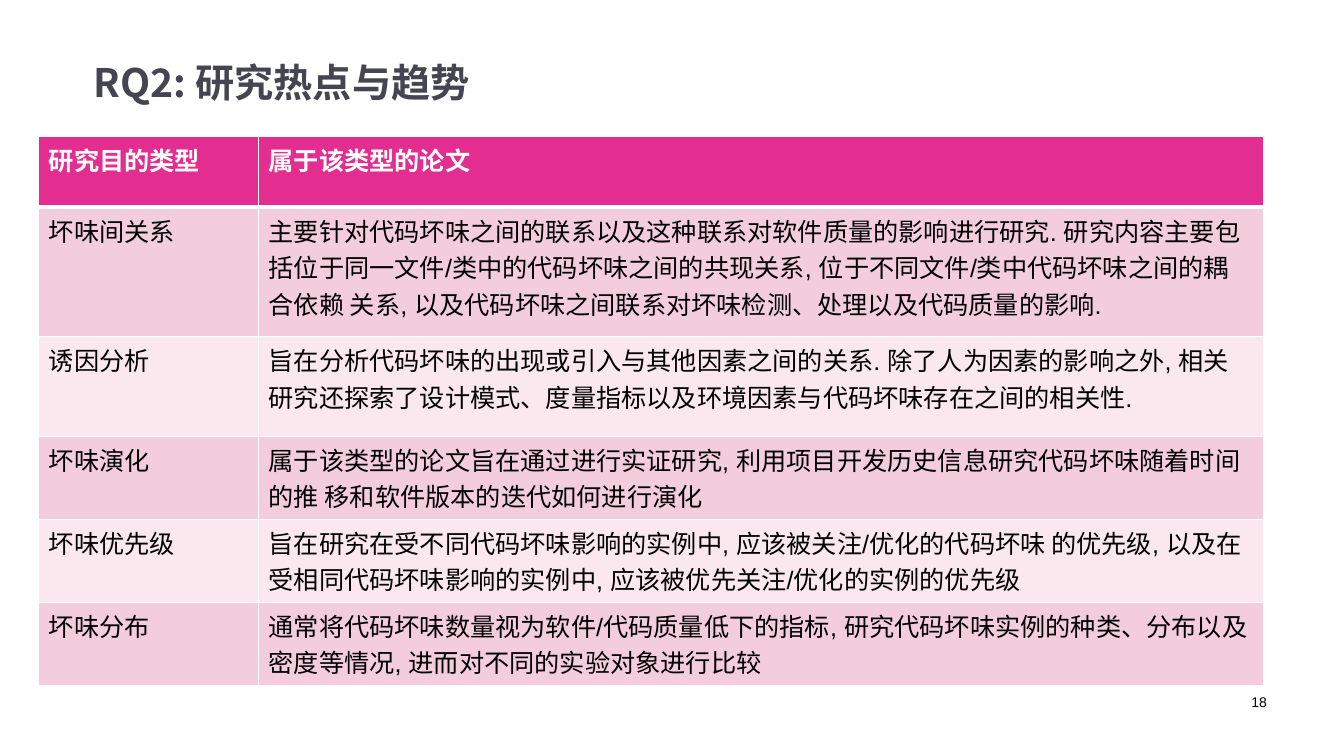
from lxml import etree
from pptx import Presentation
from pptx.dml.color import RGBColor
from pptx.enum.text import MSO_ANCHOR, PP_ALIGN
from pptx.oxml.ns import qn
from pptx.util import Pt

MIDDLE, TOP = MSO_ANCHOR.MIDDLE, MSO_ANCHOR.TOP
LEFT, RIGHT = PP_ALIGN.LEFT, PP_ALIGN.RIGHT
LATIN_FONT, CJK_FONT = "Arial", "Noto Sans CJK SC"
WHITE, BLACK, SLATE = "FFFFFF", "000000", "454551"
PINK, ROSE, BLUSH = "E32D91", "F4CDDC", "FAE8EE"

TITLE_FORMAT = {"name": CJK_FONT, "size": Pt(28), "bold": True}
HEADER_FORMAT = {"name": LATIN_FONT, "size": Pt(18), "bold": True}
BODY_FORMAT = {"name": LATIN_FONT, "size": Pt(18), "bold": False}
NUMBER_FORMAT = {"name": LATIN_FONT, "size": Pt(10), "bold": False}

COLUMN_WIDTHS = [157, 718]
TWO_LINE_HEIGHT = 59.3
ROW_HEIGHTS = [50.4, 92.5, 71.2] + [TWO_LINE_HEIGHT] * 3
PURPOSES = [
    ("研究目的类型", "属于该类型的论文"),
    ("坏味间关系",
     "主要针对代码坏味之间的联系以及这种联系对软件质量的影响进行研究. 研究内容主要包"
     "括位于同一文件/类中的代码坏味之间的共现关系, 位于不同文件/类中代码坏味之间的"
     "耦合依赖 关系, 以及代码坏味之间联系对坏味检测、处理以及代码质量的影响."),
    ("诱因分析",
     "旨在分析代码坏味的出现或引入与其他因素之间的关系. 除了人为因素的影响之外, 相"
     "关研究还探索了设计模式、度量指标以及环境因素与代码坏味存在之间的相关性."),
    ("坏味演化",
     "属于该类型的论文旨在通过进行实证研究, 利用项目开发历史信息研究代码坏味随着时间"
     "的推 移和软件版本的迭代如何进行演化"),
    ("坏味优先级",
     "旨在研究在受不同代码坏味影响的实例中, 应该被关注/优化的代码坏味 的优先级, 以"
     "及在受相同代码坏味影响的实例中, 应该被优先关注/优化的实例的优先级"),
    ("坏味分布",
     "通常将代码坏味数量视为软件/代码质量低下的指标, 研究代码坏味实例的种类、分布以"
     "及密度等情况, 进而对不同的实验对象进行比较"),
]


def color(hex_value):
    return RGBColor.from_string(hex_value)


def write(frame, words, font_format, ink, align=LEFT):
    paragraph = frame.paragraphs[0]
    paragraph.alignment = align
    run = paragraph.add_run()
    run.text = words
    for attribute, value in font_format.items():
        setattr(run.font, attribute, value)
    run.font.color.rgb = color(ink)
    properties = run.font._element
    properties.set("lang", "zh-CN")
    etree.SubElement(properties, qn("a:ea"), typeface=CJK_FONT)


def add_label(slide, box, words, font_format, ink, align=LEFT, anchor=TOP):
    frame = slide.shapes.add_textbox(*map(Pt, box)).text_frame
    frame.word_wrap = True
    frame.vertical_anchor = anchor
    write(frame, words, font_format, ink, align)


def set_borders(cell, widths):
    """Draw white borders; widths maps the side L, R, T or B to points."""
    properties = cell._tc.get_or_add_tcPr()
    for position, (side, width) in enumerate(widths.items()):
        line = etree.Element(qn(f"a:ln{side}"), w=str(Pt(width)))
        fill = etree.SubElement(line, qn("a:solidFill"))
        etree.SubElement(fill, qn("a:srgbClr"), val=WHITE)
        properties.insert(position, line)


def add_purpose_table(slide, left, top):
    table = slide.shapes.add_table(
        len(PURPOSES), len(COLUMN_WIDTHS), Pt(left), Pt(top),
        Pt(sum(COLUMN_WIDTHS)), Pt(sum(ROW_HEIGHTS))).table
    for column, width in zip(table.columns, COLUMN_WIDTHS):
        column.width = Pt(width)
    for index, (row, height, entries) in enumerate(
            zip(table.rows, ROW_HEIGHTS, PURPOSES)):
        row.height = Pt(height)
        if index == 0:
            font_format, ink, background = HEADER_FORMAT, WHITE, PINK
        else:
            font_format, ink = BODY_FORMAT, BLACK
            background = ROSE if index % 2 else BLUSH
        borders = {"L": 1, "R": 1, "T": 3 if index == 1 else 1,
                   "B": 3 if index == 0 else 1}
        for cell, words in zip(row.cells, entries):
            cell.fill.solid()
            cell.fill.fore_color.rgb = color(background)
            set_borders(cell, borders)
            write(cell.text_frame, words, font_format, ink)


def main():
    deck = Presentation()
    deck.slide_width, deck.slide_height = Pt(960), Pt(540)
    slide = deck.slides.add_slide(deck.slide_layouts[6])
    add_label(slide, (60, 33.5, 864, 50), "RQ2: 研究热点与趋势",
              TITLE_FORMAT, SLATE, anchor=MIDDLE)
    add_purpose_table(slide, 27.7, 97.5)
    add_label(slide, (688, 492, 224, 36), "18", NUMBER_FORMAT, BLACK, RIGHT)
    deck.save("out.pptx")


if __name__ == "__main__":
    main()
